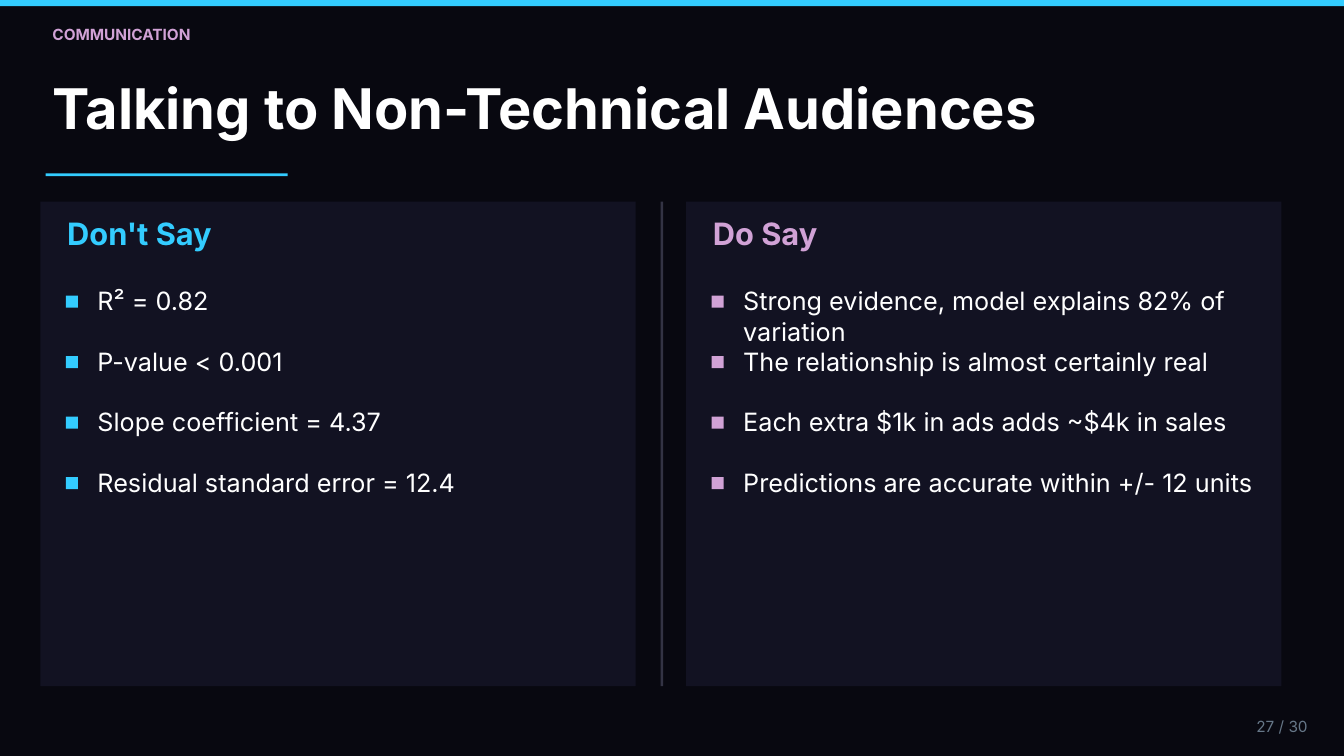
from pptx import Presentation
from pptx.dml.color import RGBColor
from pptx.enum.shapes import MSO_SHAPE
from pptx.enum.text import MSO_ANCHOR, MSO_AUTO_SIZE, PP_ALIGN
from pptx.util import Inches, Pt

RECT = MSO_SHAPE.RECTANGLE
TOP = MSO_ANCHOR.TOP
NO_FIT = MSO_AUTO_SIZE.NONE
LEFT, RIGHT = PP_ALIGN.LEFT, PP_ALIGN.RIGHT

SECTION = "COMMUNICATION"
TITLE = "Talking to Non-Technical Audiences"
PAGE = "27 / 30"
COLUMNS = [
    ("Don't Say", "cyan", [
        "R² = 0.82",
        "P-value < 0.001",
        "Slope coefficient = 4.37",
        "Residual standard error = 12.4",
    ]),
    ("Do Say", "mauve", [
        "Strong evidence, model explains 82% of variation",
        "The relationship is almost certainly real",
        "Each extra $1k in ads adds ~$4k in sales",
        "Predictions are accurate within +/- 12 units",
    ]),
]

THEME = {
    "font": "Inter",
    "colors": {
        "background": "080810", "panel": "121222", "divider": "333344",
        "cyan": "33CCFF", "mauve": "D1A2D6", "white": "FFFFFF", "muted": "667788",
    },
    "sizes": {"title": 60, "heading": 33, "body": 27, "small": 16.5},
}
LINE_RATIO = 1.2

SLIDE_W, SLIDE_H = 20, 11.25
PANEL_X, PANEL_Y, PANEL_W, PANEL_H = 0.6, 3, 8.86, 7.21
COLUMN_STEP = 9.61
HEADING_INSET, HEADING_Y = 0.4, 3.19
BULLET_INSET, BULLET_SIZE, BULLET_DROP = 0.38, 0.18, 0.15
ITEM_INSET, ITEM_Y, ITEM_STEP = 0.85, 4.25, 0.9


def color(name):
    return RGBColor.from_string(THEME["colors"][name])


def add_block(s, x, y, w, h, fill):
    sp = s.shapes.add_shape(RECT, Inches(x), Inches(y), Inches(w), Inches(h))
    sp.shadow.inherit = False
    sp.fill.solid()
    sp.fill.fore_color.rgb = color(fill)
    sp.line.fill.background()


def write(sp, text, size, fill, bold=False, align=LEFT):
    points = THEME["sizes"][size]
    tf = sp.text_frame
    frame = {"word_wrap": True, "auto_size": NO_FIT, "vertical_anchor": TOP,
             "margin_left": 0, "margin_top": 0, "margin_right": 0, "margin_bottom": 0}
    for name, value in frame.items():
        setattr(tf, name, value)
    p = tf.paragraphs[0]
    p.alignment = align
    p.line_spacing = Pt(points * LINE_RATIO)
    r = p.add_run()
    r.text = text
    for name, value in {"name": THEME["font"], "size": Pt(points), "bold": bold}.items():
        setattr(r.font, name, value)
    r.font.color.rgb = color(fill)


def add_text(s, x, y, w, h, *args, **kwargs):
    sp = s.shapes.add_textbox(Inches(x), Inches(y), Inches(w), Inches(h))
    write(sp, *args, **kwargs)


def add_title(s):
    sp = s.shapes.title
    place = {"left": 0.78, "top": 1.1, "width": 17.81, "height": 1}
    for name, value in place.items():
        setattr(sp, name, Inches(value))
    write(sp, TITLE, "title", "white", bold=True)


def add_column(s, x, heading, accent, items):
    add_block(s, x, PANEL_Y, PANEL_W, PANEL_H, "panel")
    add_text(s, x + HEADING_INSET, HEADING_Y, PANEL_W - 2 * HEADING_INSET, 0.55,
             heading, "heading", accent, bold=True)
    item_w = PANEL_W - ITEM_INSET - HEADING_INSET
    for i, item in enumerate(items):
        y = ITEM_Y + i * ITEM_STEP
        add_block(s, x + BULLET_INSET, y + BULLET_DROP, BULLET_SIZE, BULLET_SIZE, accent)
        add_text(s, x + ITEM_INSET, y, item_w, 0.45, item, "body", "white")


def main():
    prs = Presentation()
    prs.slide_width, prs.slide_height = Inches(SLIDE_W), Inches(SLIDE_H)
    s = prs.slides.add_slide(prs.slide_layouts[5])
    s.background.fill.solid()
    s.background.fill.fore_color.rgb = color("background")

    add_block(s, 0, 0, SLIDE_W, 0.09, "cyan")
    add_text(s, 0.78, 0.37, 11.81, 0.28, SECTION, "small", "mauve", bold=True)
    add_title(s)
    add_block(s, 0.68, 2.58, 3.6, 0.04, "cyan")
    for i, column in enumerate(COLUMNS):
        add_column(s, PANEL_X + i * COLUMN_STEP, *column)
    add_block(s, 9.83, PANEL_Y, 0.04, PANEL_H, "divider")
    add_text(s, 18.01, 10.67, 1.45, 0.28, PAGE, "small", "muted", align=RIGHT)

    prs.save("out.pptx")


if __name__ == "__main__":
    main()
